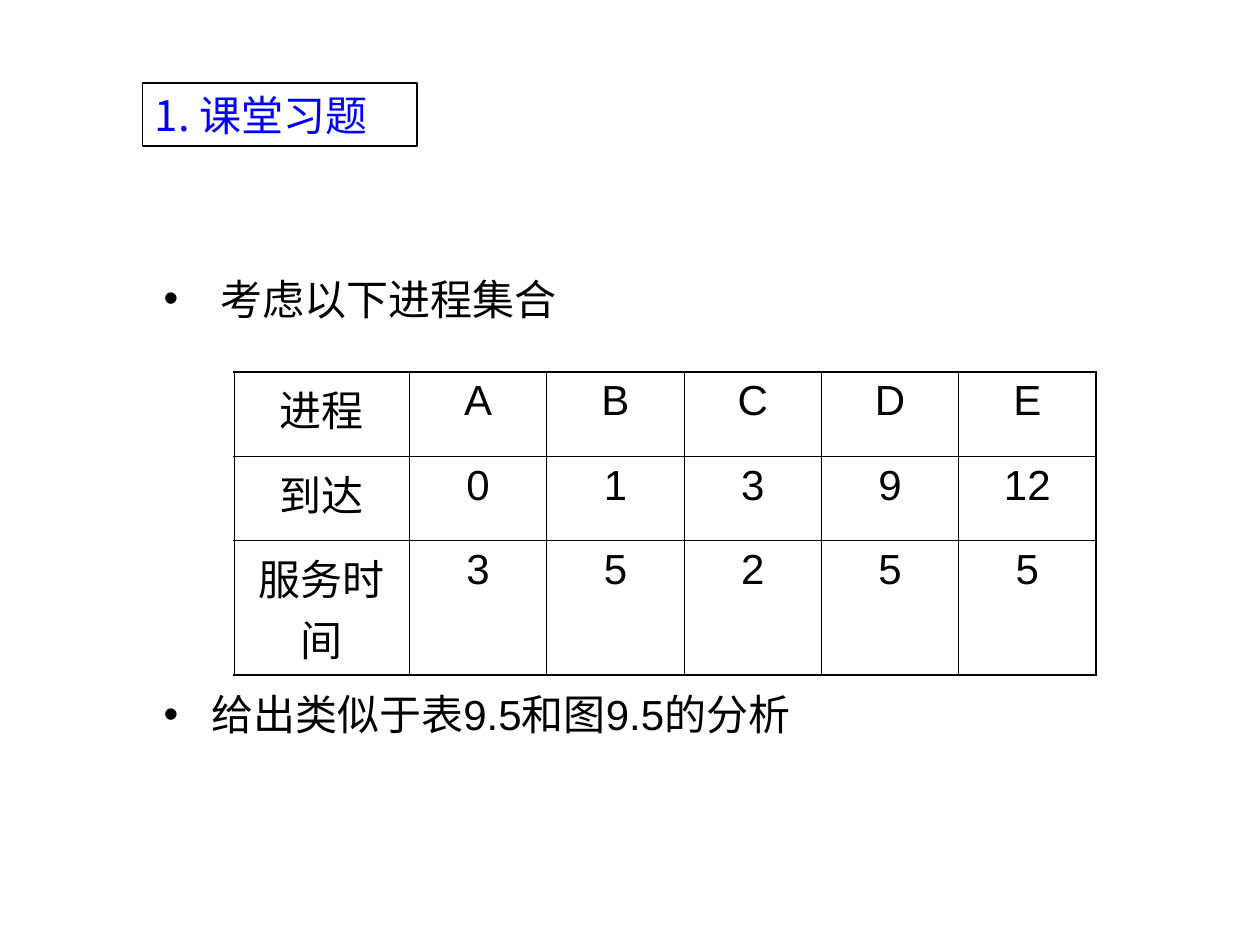
from lxml.etree import SubElement
from pptx import Presentation
from pptx.dml.color import RGBColor
from pptx.enum.text import MSO_ANCHOR, MSO_AUTO_SIZE, PP_ALIGN
from pptx.oxml.ns import qn
from pptx.util import Inches, Pt

CJK = "Noto Sans CJK SC"


def rgb(value):
    return RGBColor.from_string(value)


class Deck:
    """Holds the style and the current slide; lengths are shares of the slide."""
    size, ink, accent = 24, "000000", "0000FF"
    thin, thick = 0.45, 1.08

    def __init__(self):
        self.prs = Presentation()
        self.prs.slide_width, self.prs.slide_height = Inches(10), Inches(7.5)
        self.s = self.prs.slides.add_slide(self.prs.slide_layouts[5])

    def box(self, x, y, w, h):
        W, H = self.prs.slide_width, self.prs.slide_height
        return int(x * W), int(y * H), int(w * W), int(h * H)

    def add_text(self, p, text, font="Arial", color=None):
        r = p.add_run()
        r.text = text
        for key, value in {"size": Pt(self.size), "name": font, "bold": False}.items():
            setattr(r.font, key, value)
        r.font.color.rgb = rgb(color or self.ink)
        SubElement(r.font._element, qn("a:ea"), typeface=CJK)

    def title(self, text, *area):
        sp = self.s.shapes.title
        sp.left, sp.top, sp.width, sp.height = self.box(*area)
        sp.line.color.rgb, sp.line.width = rgb(self.ink), Pt(0.75)
        tf = sp.text_frame
        for key, value in {"word_wrap": True, "auto_size": MSO_AUTO_SIZE.NONE,
                           "vertical_anchor": MSO_ANCHOR.MIDDLE}.items():
            setattr(tf, key, value)
        p = tf.paragraphs[0]
        p.alignment = PP_ALIGN.LEFT
        self.add_text(p, text, CJK, self.accent)

    def bullets(self, items, gap, *area):
        tf = self.s.shapes.add_textbox(*self.box(*area)).text_frame
        tf.word_wrap = True
        for i, text in enumerate(items):
            p = tf.add_paragraph() if i else tf.paragraphs[0]
            p.space_before = Pt(gap if i else 0)
            pPr = p._p.get_or_add_pPr()
            indent = Inches(0.38)
            pPr.set("marL", str(indent))
            pPr.set("indent", str(-indent))
            SubElement(pPr, qn("a:buFont"), typeface="Arial")
            SubElement(pPr, qn("a:buChar"), char="•")
            self.add_text(p, text)

    def border(self, cell, side, width):
        ln = SubElement(cell._tc.get_or_add_tcPr(), qn("a:ln" + side), w=str(Pt(width)))
        fill = SubElement(ln, qn("a:solidFill"))
        SubElement(fill, qn("a:srgbClr"), val=self.ink)

    def table(self, rows, widths, heights, x, y):
        n, m = len(rows), len(rows[0])
        area = self.box(x, y, sum(widths), sum(heights))
        tbl = self.s.shapes.add_table(n, m, *area).table
        tbl.first_row = tbl.horz_banding = False
        for col, w in zip(tbl.columns, widths):
            col.width = int(w * self.prs.slide_width)
        for row, h in zip(tbl.rows, heights):
            row.height = int(h * self.prs.slide_height)
        for i, row in enumerate(rows):
            for j, text in enumerate(row):
                cell = tbl.cell(i, j)
                # Thick lines on the outer edge, thin ones inside
                outer = {"L": j == 0, "R": j == m - 1, "T": i == 0, "B": i == n - 1}
                for side, edge in outer.items():
                    self.border(cell, side, self.thick if edge else self.thin)
                cell.fill.background()
                p = cell.text_frame.paragraphs[0]
                p.alignment = PP_ALIGN.CENTER
                self.add_text(p, text)


def main():
    d = Deck()
    # Bullets above and below the table
    d.bullets([" 考虑以下进程集合", "给出类似于表9.5和图9.5的分析"], 208.5,
              0.12, 2.12 / 7.5, 0.71, 4.07 / 7.5)
    # Process table
    rows = [["进程", *"ABCDE"],
            ["到达", "0", "1", "3", "9", "12"],
            ["服务时间", *"35255"]]
    d.table(rows, [1.39 / 10] + [1.09 / 10] * 5, [0.67 / 7.5] * 2 + [1.07 / 7.5],
            1.86 / 10, 2.95 / 7.5)
    # Framed heading
    d.title("1. 课堂习题", 1.13 / 10, 0.66 / 7.5, 2.18 / 10, 0.5 / 7.5)
    d.prs.save("out.pptx")


if __name__ == "__main__":
    main()
